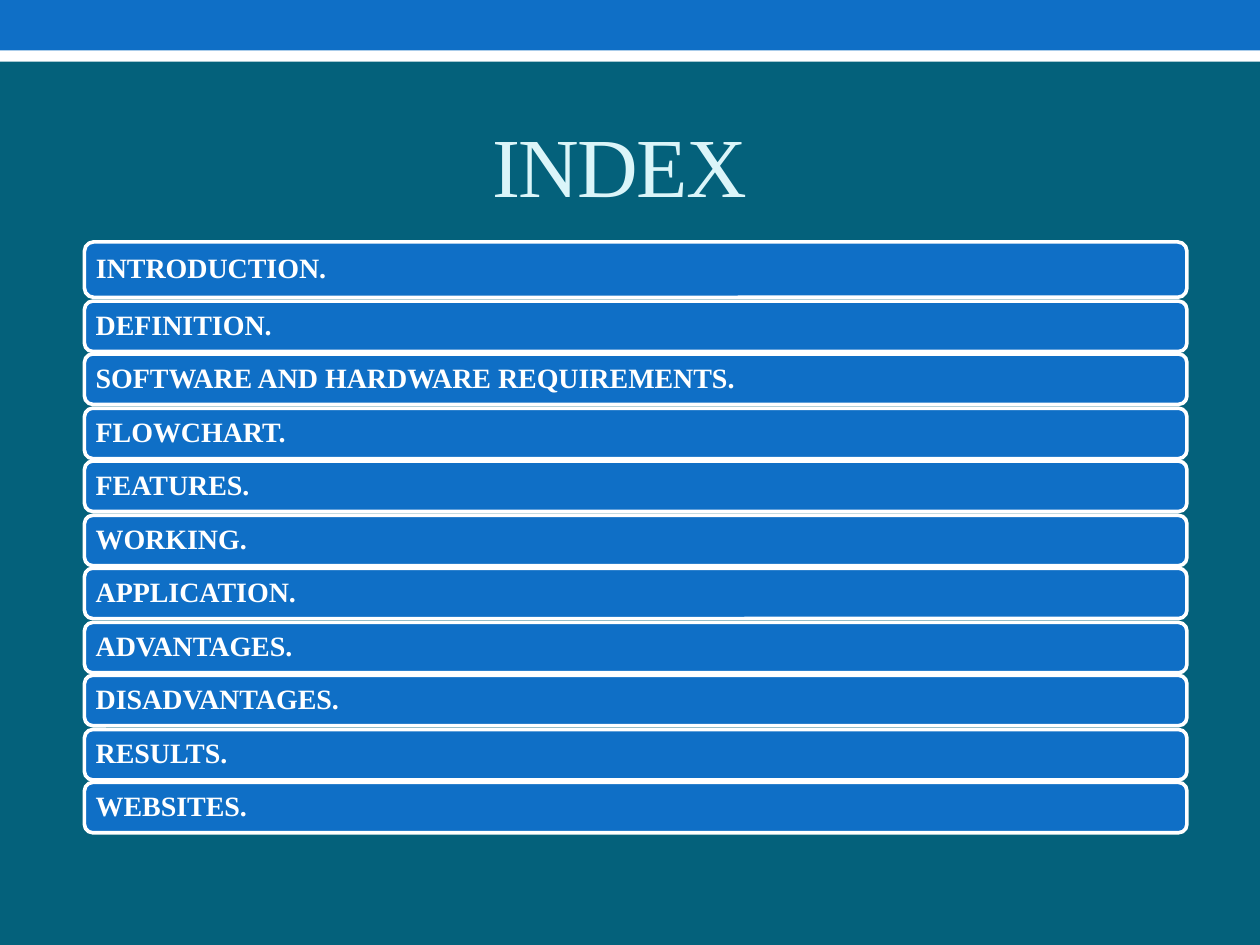
from dataclasses import dataclass

from pptx import Presentation
from pptx import util as u
from pptx.dml.color import RGBColor
from pptx.enum import shapes, text

PX = 9144  # EMU per px, 100 px to the inch


@dataclass(frozen=True)
class Theme:
    back: RGBColor = RGBColor(0x04, 0x61, 0x7B)
    blue: RGBColor = RGBColor(0x0F, 0x6F, 0xC6)
    white: RGBColor = RGBColor(0xFF, 0xFF, 0xFF)
    pale: RGBColor = RGBColor(0xDB, 0xF5, 0xF9)
    face: str = "Times New Roman"
    head: int = 48
    item: int = 16
    edge: float = 2.08


@dataclass(frozen=True)
class Box:
    left: int
    top: int
    width: int
    height: int

    def emu(self) -> tuple[int, ...]:
        return tuple(n * PX for n in (self.left, self.top, self.width, self.height))


@dataclass(frozen=True)
class Row:
    label: str
    box: Box


THEME = Theme()
LABELS = (
    "INTRODUCTION.", "DEFINITION.", "SOFTWARE AND HARDWARE REQUIREMENTS.",
    "FLOWCHART.", "FEATURES.", "WORKING.", "APPLICATION.", "ADVANTAGES.",
    "DISADVANTAGES.", "RESULTS.", "WEBSITES.",
)


def style(run, size: int, color: RGBColor, bold: bool = False) -> None:
    run.font.name = THEME.face
    run.font.size = u.Pt(size)
    run.font.bold = bold
    run.font.color.rgb = color


def add_band(slide, box: Box, color: RGBColor) -> None:
    band = slide.shapes.add_shape(shapes.MSO_SHAPE.RECTANGLE, *box.emu())
    band.shadow.inherit = False
    band.fill.solid()
    band.fill.fore_color.rgb = color
    band.line.fill.background()


def add_title(slide, label: str, box: Box) -> None:
    title = slide.shapes.title
    title.left, title.top, title.width, title.height = box.emu()
    frame = title.text_frame
    frame.text = label
    frame.auto_size = text.MSO_AUTO_SIZE.NONE
    frame.vertical_anchor = text.MSO_ANCHOR.BOTTOM
    para = frame.paragraphs[0]
    para.alignment = text.PP_ALIGN.CENTER
    run = para.runs[0]
    style(run, THEME.head, THEME.pale)
    run.font._element.set("spc", "-100")


def add_row(slide, row: Row) -> None:
    bar = slide.shapes.add_shape(shapes.MSO_SHAPE.ROUNDED_RECTANGLE, *row.box.emu())
    bar.shadow.inherit = False
    bar.fill.solid()
    bar.fill.fore_color.rgb = THEME.blue
    bar.line.color.rgb = THEME.white
    bar.line.width = u.Pt(THEME.edge)
    frame = bar.text_frame
    frame.text = row.label
    frame.word_wrap = True
    frame.vertical_anchor = text.MSO_ANCHOR.MIDDLE
    frame.margin_left = frame.margin_right = 7 * PX
    frame.margin_top = frame.margin_bottom = 7 * PX
    para = frame.paragraphs[0]
    para.alignment = text.PP_ALIGN.LEFT
    para.line_spacing = 0.9
    style(para.runs[0], THEME.item, THEME.white, bold=True)


def list_rows() -> list[Row]:
    # The first row is taller; the rest step down by 42.5 px
    first = Row(LABELS[0], Box(67, 192, 875, 44))
    rest = [Row(label, Box(67, 239 + 85 * i // 2, 875, 40))
            for i, label in enumerate(LABELS[1:])]
    return [first, *rest]


def main() -> None:
    deck = Presentation()
    deck.slide_width, deck.slide_height = 1000 * PX, 750 * PX
    slide = deck.slides.add_slide(deck.slide_layouts[5])
    slide.background.fill.solid()
    slide.background.fill.fore_color.rgb = THEME.back

    # Top bands
    add_band(slide, Box(0, 24, 1000, 25), THEME.white)
    add_band(slide, Box(0, 0, 1000, 40), THEME.blue)

    # Title
    add_title(slide, "INDEX", Box(67, 58, 850, 117))

    # Index rows
    for row in list_rows():
        add_row(slide, row)

    deck.save("out.pptx")


if __name__ == "__main__":
    main()
